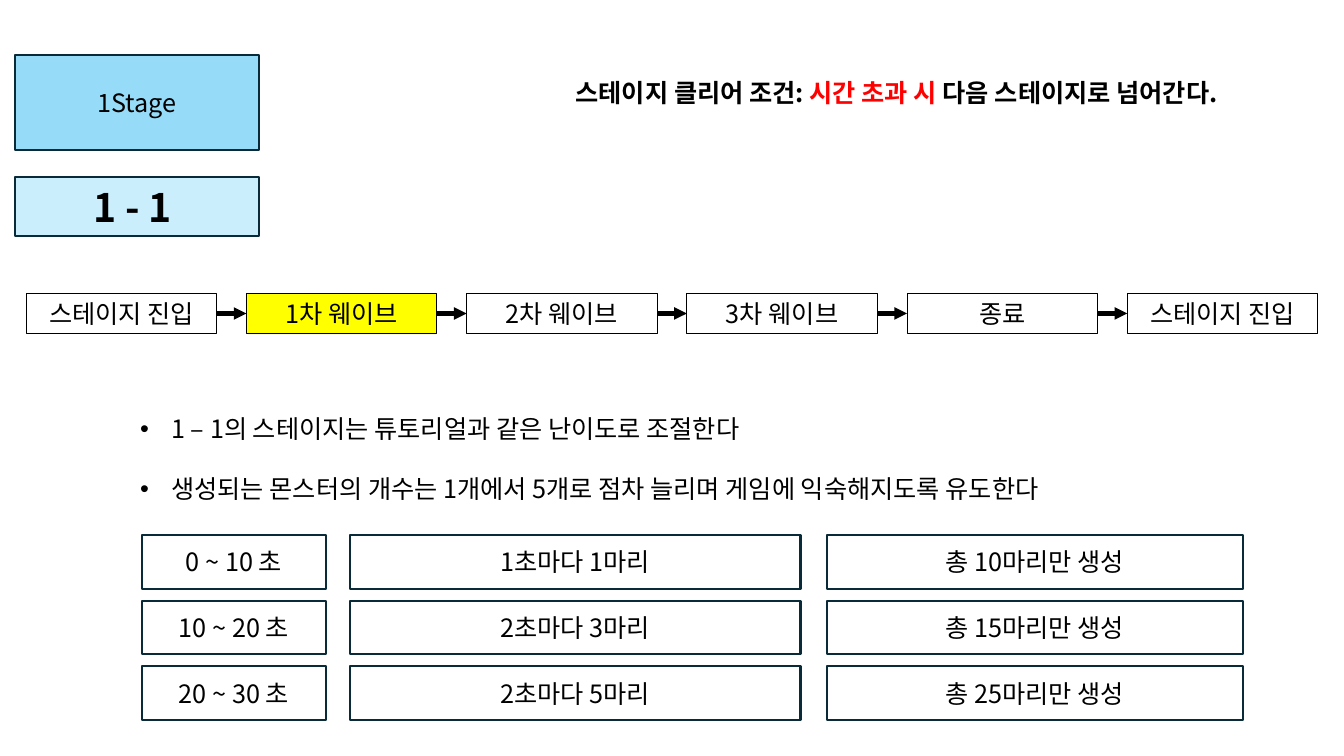
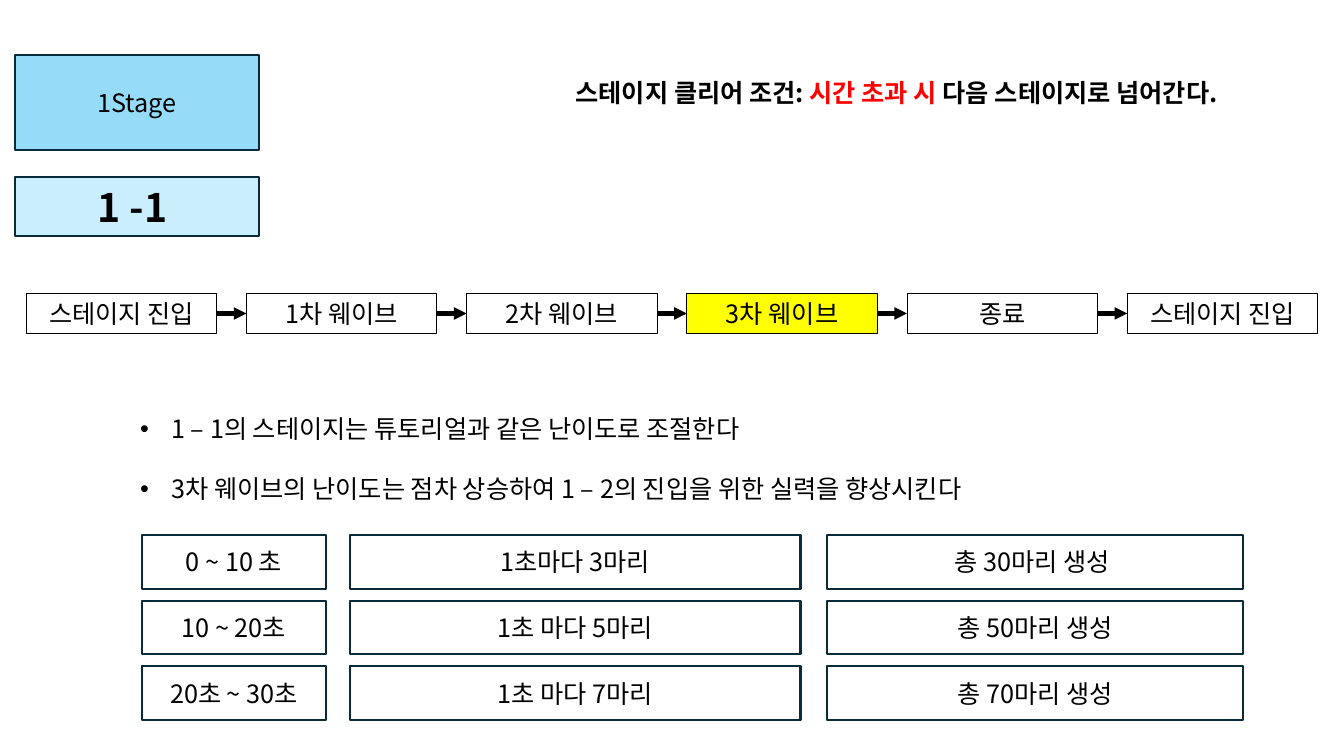
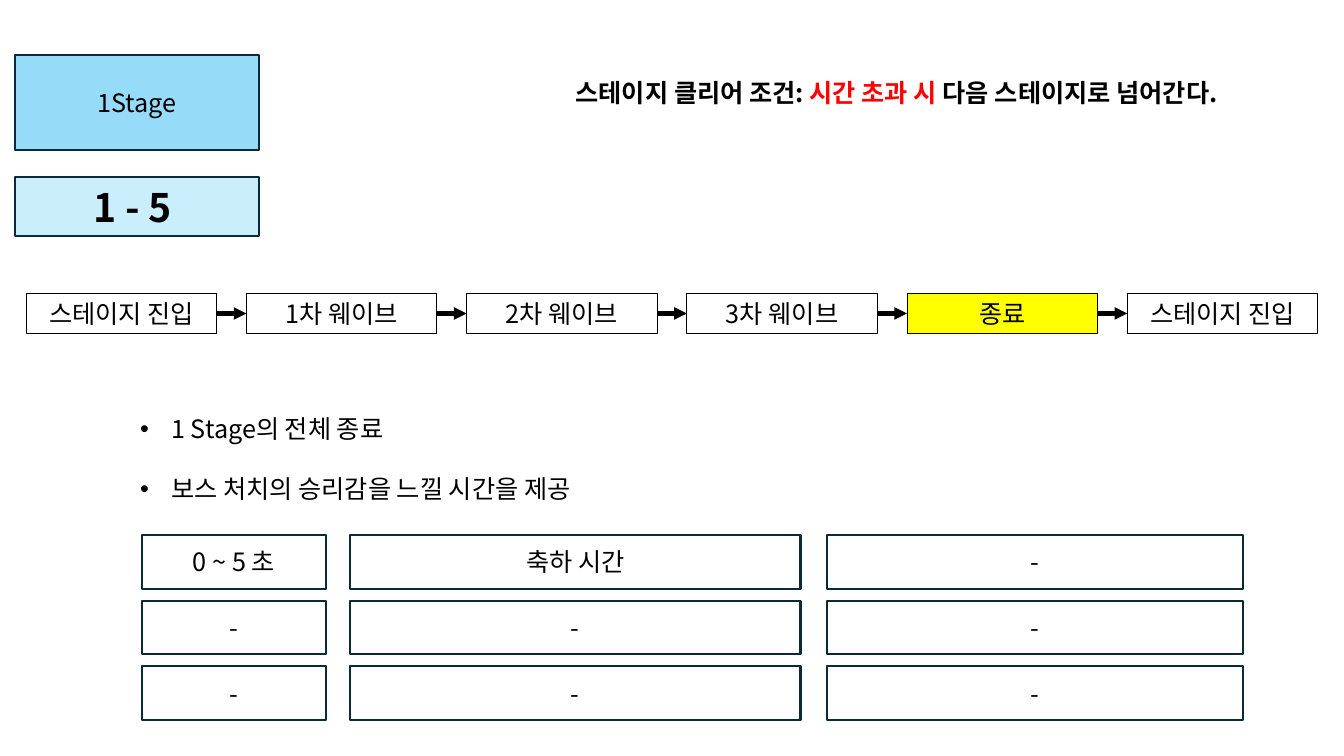
"""Build the wave plan slides of the first game stage."""
from itertools import pairwise

from lxml.etree import SubElement
from pptx import Presentation
from pptx.dml.color import RGBColor
from pptx.enum.shapes import MSO_CONNECTOR as Connector, MSO_SHAPE as Shape
from pptx.enum.text import MSO_ANCHOR as Anchor, MSO_AUTO_SIZE as AutoSize, PP_ALIGN as Align
from pptx.oxml.ns import qn
from pptx.util import Inches, Pt

BLACK = RGBColor(0x00, 0x00, 0x00)
RED = RGBColor(0xFF, 0x00, 0x00)
YELLOW = RGBColor(0xFF, 0xFF, 0x00)
SKY = RGBColor(0x96, 0xDC, 0xF8)
PALE_SKY = RGBColor(0xCA, 0xEE, 0xFB)
NAVY = RGBColor(0x09, 0x2A, 0x39)
FONT = "Noto Sans CJK KR"

STAGE = "1Stage"
CONDITION = [("스테이지 클리어 조건: ", BLACK), ("시간 초과 시 ", RED), ("다음 스테이지로 넘어간다.", BLACK)]
STEPS = ["스테이지 진입", "1차 웨이브", "2차 웨이브", "3차 웨이브", "종료", "스테이지 진입"]
WAVES = [
    {
        "level": "1 - 1 ",
        "active": 1,
        "notes": ["1 – 1의 스테이지는 튜토리얼과 같은 난이도로 조절한다",
                  "생성되는 몬스터의 개수는 1개에서 5개로 점차 늘리며 게임에 익숙해지도록 유도한다"],
        "notes_height": 1.82,
        "schedule": [("0 ~ 10 초", "1초마다 1마리", "총 10마리만 생성"),
                     ("10 ~ 20 초", "2초마다 3마리", "총 15마리만 생성"),
                     ("20 ~ 30 초", "2초마다 5마리", "총 25마리만 생성")],
    },
    {
        "level": "1 -1 ",
        "active": 3,
        "notes": ["1 – 1의 스테이지는 튜토리얼과 같은 난이도로 조절한다",
                  "3차 웨이브의 난이도는 점차 상승하여 1 – 2의 진입을 위한 실력을 향상시킨다"],
        "notes_height": 1.82,
        "schedule": [("0 ~ 10 초", "1초마다 3마리", "총 30마리 생성 "),
                     ("10 ~ 20초", "1초 마다 5마리", "총 50마리 생성"),
                     ("20초 ~ 30초", "1초 마다 7마리", "총 70마리 생성")],
    },
    {
        "level": "1 - 5 ",
        "active": 4,
        "notes": ["1 Stage의 전체 종료", "보스 처치의 승리감을 느낄 시간을 제공"],
        "notes_height": 1.22,
        "schedule": [("0 ~ 5 초", "축하 시간", "-"), ("-", "-", "-"), ("-", "-", "-")],
    },
]

STEP_LEFT, STEP_TOP, STEP_WIDTH, STEP_HEIGHT = 0.26, 2.91, 1.89, 0.4
STEP_PITCH = (11.18 - STEP_LEFT) / (len(STEPS) - 1)
COLUMNS = [(1.41, 1.82), (3.47, 4.47), (8.2, 4.13)]
ROW_TOP, ROW_PITCH, ROW_HEIGHT = 5.31, 0.65, 0.53


def write(paragraph, text, color=BLACK, size=18, bold=False):
    run = paragraph.add_run()
    run.text = text
    run.font.color.rgb = color
    for attribute, value in {"name": FONT, "size": Pt(size), "bold": bold}.items():
        setattr(run.font, attribute, value)
    SubElement(run.font._element, qn("a:ea"), typeface=FONT)


def add_box(slide, area, text, fill=None, line=NAVY, weight=1.5, anchor=Anchor.MIDDLE, **font):
    box = slide.shapes.add_shape(Shape.RECTANGLE, *map(Inches, area))
    box.shadow.inherit = False
    if fill is None:
        box.fill.background()
    else:
        box.fill.solid()
        box.fill.fore_color.rgb = fill
    box.line.color.rgb = line
    box.line.width = Pt(weight)
    frame = box.text_frame
    for attribute, value in {"word_wrap": True, "vertical_anchor": anchor}.items():
        setattr(frame, attribute, value)
    frame.paragraphs[0].alignment = Align.CENTER
    write(frame.paragraphs[0], text, **font)
    return box


def add_text_frame(slide, area):
    frame = slide.shapes.add_textbox(*map(Inches, area)).text_frame
    frame.word_wrap = True
    frame.auto_size = AutoSize.SHAPE_TO_FIT_TEXT
    return frame


def add_arrow(slide, source, target):
    arrow = slide.shapes.add_connector(Connector.STRAIGHT, 0, 0, 0, 0)
    arrow.begin_connect(source, 3)
    arrow.end_connect(target, 1)
    arrow.line.color.rgb = BLACK
    arrow.line.width = Pt(3)
    SubElement(arrow.line._get_or_add_ln(), qn("a:tailEnd"), type="triangle")
    SubElement(arrow._element.spPr, qn("a:effectLst"))


def add_flow(slide, active):
    steps = []
    for index, label in enumerate(STEPS):
        area = (STEP_LEFT + index * STEP_PITCH, STEP_TOP, STEP_WIDTH, STEP_HEIGHT)
        step = add_box(slide, area, label, YELLOW if index == active else None,
                       BLACK, 0.75, Anchor.TOP)
        step.text_frame.auto_size = AutoSize.SHAPE_TO_FIT_TEXT
        steps.append(step)
    for source, target in pairwise(steps):
        add_arrow(slide, source, target)


def add_notes(slide, notes, height):
    frame = add_text_frame(slide, (1.29, 3.75, 10.92, height))
    for index, note in enumerate(notes):
        paragraph = frame.add_paragraph() if index else frame.paragraphs[0]
        paragraph.line_spacing = 2.0
        properties = paragraph._p.get_or_add_pPr()
        properties.set("marL", str(Inches(0.31)))
        properties.set("indent", str(-Inches(0.31)))
        SubElement(properties, qn("a:buFont"), typeface="Arial")
        SubElement(properties, qn("a:buChar"), char="•")
        write(paragraph, note)


def add_schedule(slide, schedule):
    for row, cells in enumerate(schedule):
        for (left, width), text in zip(COLUMNS, cells):
            add_box(slide, (left, ROW_TOP + row * ROW_PITCH, width, ROW_HEIGHT), text)


def add_wave(deck, wave):
    slide = deck.slides.add_slide(deck.slide_layouts[6])
    add_box(slide, (0.15, 0.55, 2.42, 0.94), STAGE, SKY)
    add_box(slide, (0.15, 1.76, 2.42, 0.58), wave["level"], PALE_SKY, size=28, bold=True)
    condition = add_text_frame(slide, (5.61, 0.72, 7.39, 0.4)).paragraphs[0]
    for text, color in CONDITION:
        write(condition, text, color, bold=True)
    add_flow(slide, wave["active"])
    add_notes(slide, wave["notes"], wave["notes_height"])
    add_schedule(slide, wave["schedule"])


def main():
    deck = Presentation()
    deck.slide_width, deck.slide_height = Inches(13.33), Inches(7.5)
    for wave in WAVES:
        add_wave(deck, wave)
    deck.save("out.pptx")


if __name__ == "__main__":
    main()
